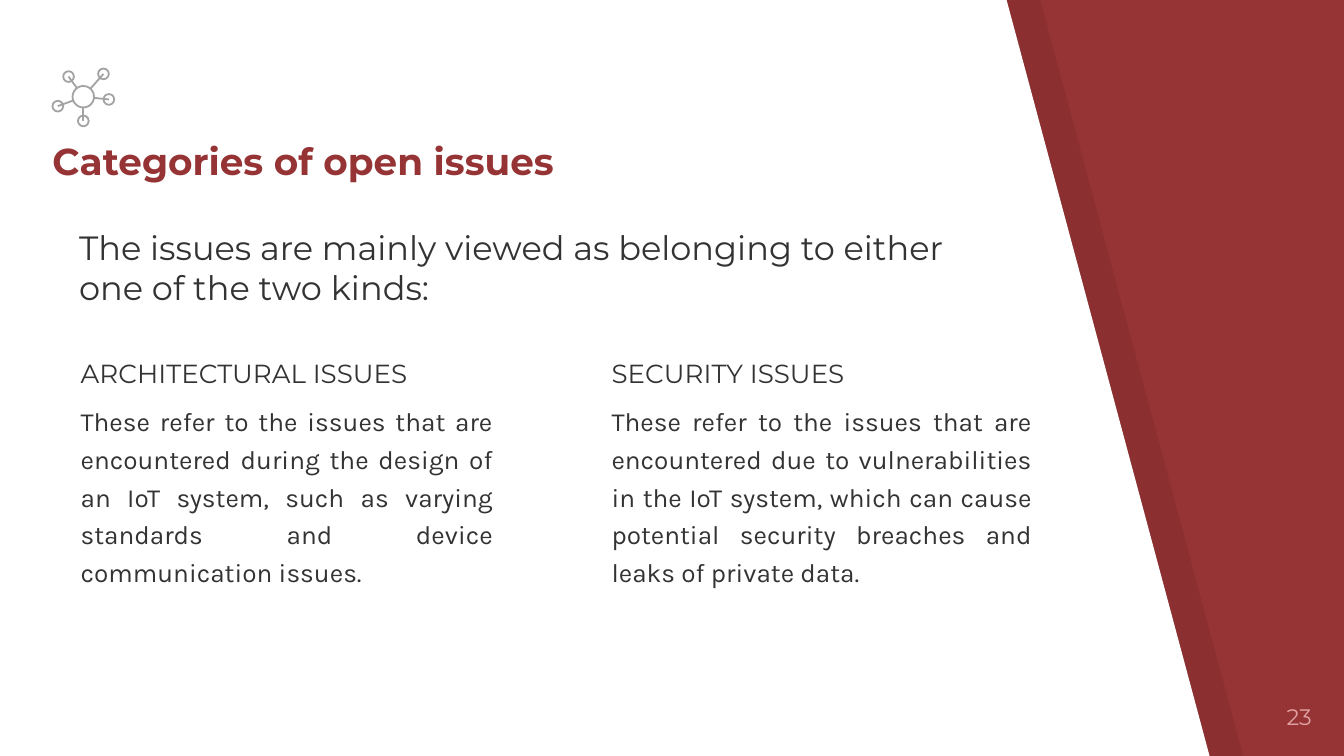
from dataclasses import dataclass
from math import hypot

from lxml import etree
from pptx import Presentation
from pptx.dml.color import RGBColor
from pptx.enum.shapes import MSO_CONNECTOR, MSO_SHAPE
from pptx.enum.text import MSO_ANCHOR, MSO_AUTO_SIZE, PP_ALIGN
from pptx.oxml.ns import qn
from pptx.util import Inches, Pt

LEFT, RIGHT, JUSTIFY = PP_ALIGN.LEFT, PP_ALIGN.RIGHT, PP_ALIGN.JUSTIFY
TOP, MIDDLE, BOTTOM = MSO_ANCHOR.TOP, MSO_ANCHOR.MIDDLE, MSO_ANCHOR.BOTTOM
OVAL, STRAIGHT = MSO_SHAPE.OVAL, MSO_CONNECTOR.STRAIGHT
TWO_CONTENT = 3


@dataclass(frozen=True)
class Theme:
    red: str = "963334"
    white: str = "FFFFFF"
    black: str = "000000"
    text: str = "333333"
    icon: str = "A3A3A3"
    number: str = "E0A3A3"
    heading_font: str = "Montserrat"
    body_font: str = "Karla"
    title_size: int = 20
    intro_size: int = 18
    body_size: int = 14
    number_size: int = 12
    icon_line: float = 0.96


THEME = Theme()
WIDTH = 10
HEIGHT = WIDTH * 9 / 16

TITLE = "Categories of open issues"
INTRO = "The issues are mainly viewed as belonging to either one of the two kinds:"
PAGE = "23"
COLUMNS = [
    ("ARCHITECTURAL ISSUES",
     "These refer to the issues that are encountered during the design of an IoT system, "
     "such as varying standards and device communication issues.", 3.27),
    ("SECURITY ISSUES",
     "These refer to the issues that are encountered due to vulnerabilities in the IoT system, "
     "which can cause potential security breaches and leaks of private data.", 3.33),
]
COLUMN_LEFT, COLUMN_STEP, COLUMN_TOP, COLUMN_HEIGHT = 0.5, 3.95, 2.51, 2.21

PANEL_TOP_EDGE, PANEL_BOTTOM_EDGE = 7.49, 9
PANELS = [(0.25, THEME.black, 7), (0, THEME.white, 100)]

HUB, HUB_RADIUS = (0.62, 0.72), 0.08
NODES = [(0.77, 0.55), (0.51, 0.57), (0.43, 0.79), (0.62, 0.9), (0.81, 0.74)]
NODE_RADIUS = 0.04


def color(value):
    return RGBColor.from_string(value)


def place(shape, left, top, width, height):
    shape.left, shape.top = Inches(left), Inches(top)
    shape.width, shape.height = Inches(width), Inches(height)


def write(shape, lines, anchor=TOP, spacing=1.0, before=0):
    frame = shape.text_frame
    frame.word_wrap, frame.auto_size = True, MSO_AUTO_SIZE.NONE
    frame.vertical_anchor = anchor
    frame.margin_left = frame.margin_right = Inches(0.1)
    frame.margin_top = frame.margin_bottom = Inches(0.1)
    for index, (text, font, size, shade, bold, align) in enumerate(lines):
        paragraph = frame.add_paragraph() if index else frame.paragraphs[0]
        paragraph.text = text
        paragraph.alignment, paragraph.line_spacing = align, spacing
        paragraph.space_before, paragraph.space_after = Pt(before), Pt(0)
        paragraph.font.name, paragraph.font.size = font, Pt(size)
        paragraph.font.bold, paragraph.font.color.rgb = bold, color(shade)


def remove_bullets(shape):
    for paragraph in shape.text_frame.paragraphs:
        properties = paragraph._p.get_or_add_pPr()
        properties.set("marL", "0")
        properties.set("indent", "0")
        bullet = etree.Element(qn("a:buNone"))
        properties.find(qn("a:defRPr")).addprevious(bullet)


def add_panel(slide, layer, shift, fill, opacity):
    corners = [(shift, 0), (shift, HEIGHT), (shift + PANEL_BOTTOM_EDGE, HEIGHT),
               (shift + PANEL_TOP_EDGE, 0)]
    points = [(Inches(x), Inches(y)) for x, y in corners]
    builder = slide.shapes.build_freeform(*points[0])
    builder.add_line_segments(points[1:], close=True)
    panel = builder.convert_to_shape()
    panel.shadow.inherit = False
    panel.line.fill.background()
    panel.fill.solid()
    panel.fill.fore_color.rgb = color(fill)
    if opacity < 100:
        shade = panel._element.spPr.find(".//" + qn("a:srgbClr"))
        etree.SubElement(shade, qn("a:alpha")).set("val", str(opacity * 1000))
    slide.shapes._spTree.insert(2 + layer, panel._element)


def style_icon_line(shape):
    shape.line.color.rgb = color(THEME.icon)
    shape.line.width = Pt(THEME.icon_line)


def add_circle(slide, center, radius):
    x, y = center
    circle = slide.shapes.add_shape(OVAL, Inches(x - radius), Inches(y - radius),
                                    Inches(2 * radius), Inches(2 * radius))
    circle.shadow.inherit = False
    circle.fill.background()
    style_icon_line(circle)


def add_spoke(slide, node):
    across, down = node[0] - HUB[0], node[1] - HUB[1]
    share = HUB_RADIUS / hypot(across, down)
    spoke = slide.shapes.add_connector(
        STRAIGHT, Inches(node[0]), Inches(node[1]),
        Inches(HUB[0] + across * share), Inches(HUB[1] + down * share))
    style_icon_line(spoke)
    etree.SubElement(spoke._element.spPr, qn("a:effectLst"))


def main():
    presentation = Presentation()
    presentation.slide_width, presentation.slide_height = Inches(WIDTH), Inches(HEIGHT)
    slide = presentation.slides.add_slide(presentation.slide_layouts[TWO_CONTENT])
    slide.background.fill.solid()
    slide.background.fill.fore_color.rgb = color(THEME.red)
    for layer, panel in enumerate(PANELS):
        add_panel(slide, layer, *panel)

    title, *bodies = [shape for shape in slide.placeholders
                      if shape.placeholder_format.idx < 3]
    place(title, 0.29, 0.93, 7.18, 0.53)
    write(title, [(TITLE, THEME.heading_font, THEME.title_size, THEME.red, True, LEFT)], BOTTOM)

    for index, (body, (heading, text, width)) in enumerate(zip(bodies, COLUMNS)):
        place(body, COLUMN_LEFT + index * COLUMN_STEP, COLUMN_TOP, width, COLUMN_HEIGHT)
        write(body, [
            (heading, THEME.heading_font, THEME.body_size, THEME.text, False, LEFT),
            (text, THEME.body_font, THEME.body_size, THEME.text, False, JUSTIFY),
        ], spacing=1.2, before=6)
        remove_bullets(body)

    intro = slide.shapes.add_textbox(Inches(0.49), Inches(1.68), Inches(6.95), Inches(0.61))
    write(intro, [(INTRO, THEME.heading_font, THEME.intro_size, THEME.text, False, LEFT)], MIDDLE)
    number = slide.shapes.add_textbox(Inches(9.26), Inches(5.13), Inches(0.6), Inches(0.43))
    write(number, [(PAGE, THEME.heading_font, THEME.number_size, THEME.number, False, RIGHT)])

    add_circle(slide, HUB, HUB_RADIUS)
    for node in NODES:
        add_circle(slide, node, NODE_RADIUS)
        add_spoke(slide, node)

    presentation.save("out.pptx")


if __name__ == "__main__":
    main()
